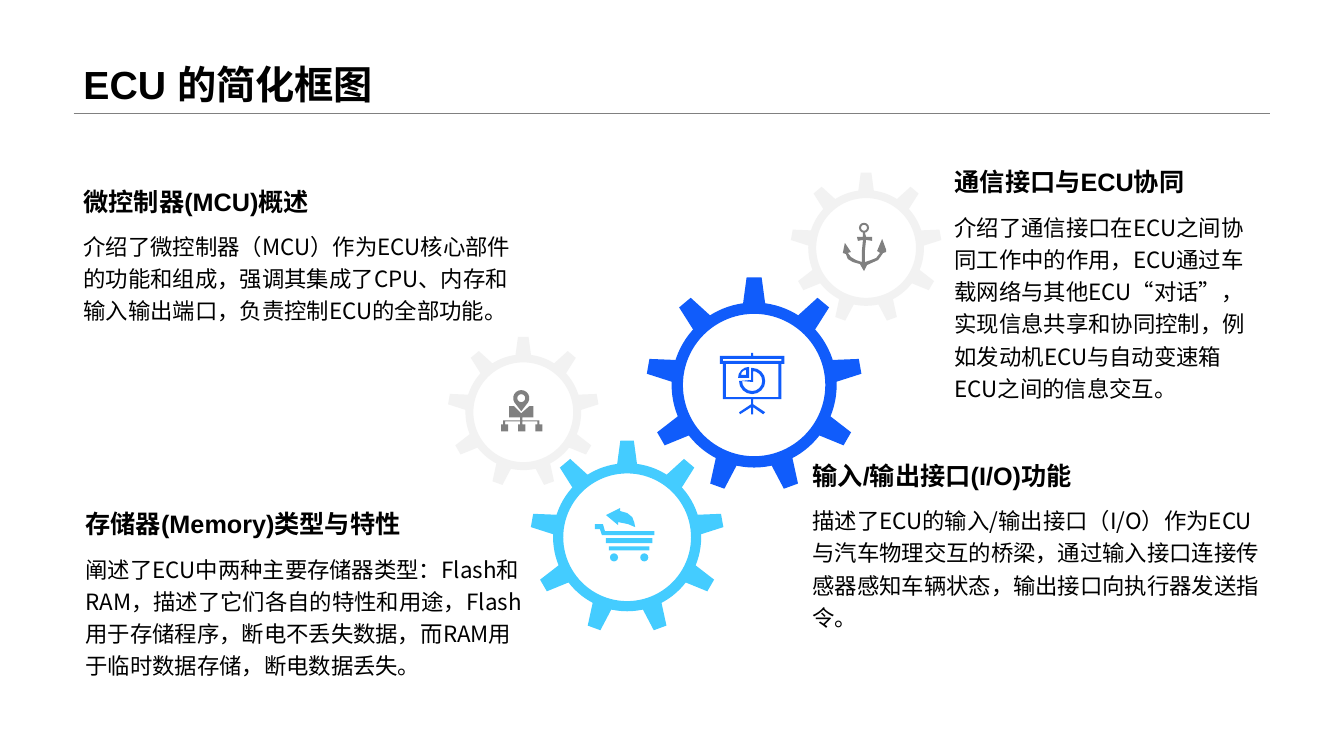
from dataclasses import dataclass
from math import cos, radians, sin

from lxml import etree
from pptx import Presentation
from pptx.dml.color import RGBColor
from pptx.enum.shapes import MSO_CONNECTOR, MSO_SHAPE
from pptx.enum.text import MSO_ANCHOR, MSO_AUTO_SIZE
from pptx.oxml.ns import qn
from pptx.util import Inches, Pt

STRAIGHT = MSO_CONNECTOR.STRAIGHT
DONUT = MSO_SHAPE.DONUT
TOP, BOTTOM = MSO_ANCHOR.TOP, MSO_ANCHOR.BOTTOM
FIT_SHAPE, NO_FIT = MSO_AUTO_SIZE.SHAPE_TO_FIT_TEXT, MSO_AUTO_SIZE.NONE


@dataclass(frozen=True)
class Theme:
    ink: str = "000000"
    blue: str = "105CFB"
    sky: str = "44CCFF"
    pale: str = "F2F2F2"
    grey: str = "808080"
    title_size: int = 28
    heading_size: int = 18
    body_size: int = 16
    latin: str = "Arial"
    chinese: str = "Noto Sans CJK SC"


THEME = Theme()
TEETH = 9

# left, top and width of the heading; top, width and height of the body
SECTIONS = [
    (9.37, 1.6, 3.23, 2.02, 3.23, 2.0, "通信接口与ECU协同",
     "介绍了通信接口在ECU之间协同工作中的作用，ECU通过车载网络与其他ECU“对话”，"
     "实现信息共享和协同控制，例如发动机ECU与自动变速箱ECU之间的信息交互。"),
    (7.96, 4.52, 4.63, 4.93, 4.63, 1.35, "输入/输出接口(I/O)功能",
     "描述了ECU的输入/输出接口（I/O）作为ECU与汽车物理交互的桥梁，"
     "通过输入接口连接传感器感知车辆状态，输出接口向执行器发送指令。"),
    (0.75, 4.99, 4.56, 5.41, 4.56, 1.35, "存储器(Memory)类型与特性",
     "阐述了ECU中两种主要存储器类型：Flash和RAM，描述了它们各自的特性和用途，"
     "Flash用于存储程序，断电不丢失数据，而RAM用于临时数据存储，断电数据丢失。"),
    (0.73, 1.8, 4.24, 2.21, 4.43, 1.03, "微控制器(MCU)概述",
     "介绍了微控制器（MCU）作为ECU核心部件的功能和组成，"
     "强调其集成了CPU、内存和输入输出端口，负责控制ECU的全部功能。"),
]


def add_text(page, text, left, top, width, height, *, size, font,
             bold=False, anchor=TOP, spacing=None, fit=FIT_SHAPE):
    box = page.shapes.add_textbox(Inches(left), Inches(top), Inches(width), Inches(height))
    frame = box.text_frame
    frame.word_wrap = True
    frame.auto_size = fit
    frame.vertical_anchor = anchor
    para = frame.paragraphs[0]
    if spacing:
        para.line_spacing = spacing
    span = para.add_run()
    span.text = text
    span.font.size = Pt(size)
    span.font.bold = bold
    span.font.name = font
    span.font.color.rgb = RGBColor.from_string(THEME.ink)
    east_asian = etree.SubElement(span.font._element, qn("a:ea"))
    east_asian.set("typeface", THEME.chinese)


def paint(shape, color):
    shape.shadow.inherit = False
    shape.fill.solid()
    shape.fill.fore_color.rgb = RGBColor.from_string(color)
    shape.line.fill.background()


def add_outline(page, contours, color):
    """Fill closed contours as one shape; a contour inside another is a hole."""
    scaled = [[(Inches(x), Inches(y)) for x, y in contour] for contour in contours]
    builder = page.shapes.build_freeform(*scaled[0][0])
    builder.add_line_segments(scaled[0][1:], close=True)
    for contour in scaled[1:]:
        builder.move_to(*contour[0])
        builder.add_line_segments(contour[1:], close=True)
    paint(builder.convert_to_shape(), color)


def polar(x, y, radius, angle):
    return x + radius * cos(radians(angle)), y + radius * sin(radians(angle))


def arc(x, y, radius, start=0, end=360, steps=12):
    """Points along an arc, with angles clockwise from the right."""
    return [polar(x, y, radius, start + (end - start) * i / steps) for i in range(steps + 1)]


def rect(left, top, right, bottom):
    return [(left, top), (right, top), (right, bottom), (left, bottom)]


def add_gear(page, x, y, radius, color):
    rim, hole, root = 0.765 * radius, 0.66 * radius, 0.75 * radius
    ring = page.shapes.add_shape(
        DONUT, Inches(x - rim), Inches(y - rim), Inches(2 * rim), Inches(2 * rim))
    ring.adjustments[0] = (rim - hole) / (2 * rim)
    paint(ring, color)
    teeth = []
    for tooth in range(TEETH):
        middle = tooth * 360 / TEETH - 90
        teeth.append([polar(x, y, root, middle - 8), polar(x, y, radius, middle - 4),
                      polar(x, y, radius, middle + 4), polar(x, y, root, middle + 8)])
    add_outline(page, teeth, color)


def add_board_icon(page, color):
    tripod = [(7.45, 3.96), (7.47, 3.96), (7.47, 4.01), (7.59, 4.09), (7.57, 4.11),
              (7.47, 4.04), (7.47, 4.11), (7.45, 4.11), (7.45, 4.04), (7.34, 4.11),
              (7.33, 4.09), (7.45, 4.01)]
    add_outline(page, [
        rect(7.45, 3.5, 7.47, 3.53),
        rect(7.14, 3.53, 7.78, 3.61), rect(7.17, 3.56, 7.75, 3.58),
        rect(7.17, 3.61, 7.75, 3.96), rect(7.2, 3.61, 7.72, 3.94),
        arc(7.46, 3.78, 0.13, -90, 180) + [(7.45, 3.77), (7.45, 3.65)],
        arc(7.46, 3.78, 0.1, -90, 180) + [(7.47, 3.79), (7.47, 3.68)],
        arc(7.43, 3.75, 0.11, 180, 270, 4) + [(7.43, 3.75)],
        arc(7.4, 3.72, 0.05, 180, 270, 3) + [(7.4, 3.72)],
        tripod,
    ], color)


def add_location_icon(page, color):
    envelope = [(5.05, 4.03), (5.1, 4.03), (5.17, 4.1), (5.25, 4.03), (5.29, 4.03),
                (5.29, 4.14), (5.05, 4.14)]
    contours = [
        arc(5.17, 3.95, 0.08, 150, 390) + [(5.17, 4.08)], arc(5.17, 3.95, 0.04),
        envelope, rect(5.16, 4.14, 5.18, 4.17), rect(4.99, 4.17, 5.35, 4.18),
    ]
    for branch in range(3):
        left = 4.97 + 0.17 * branch
        contours += [rect(left + 0.02, 4.18, left + 0.04, 4.21),
                     rect(left, 4.21, left + 0.07, 4.28)]
    add_outline(page, contours, color)


def add_cart_icon(page, color):
    basket = [(5.9, 5.2), (5.98, 5.2), (6, 5.27), (6.49, 5.27), (6.49, 5.31),
              (5.97, 5.31), (5.95, 5.25), (5.9, 5.25)]
    arrow = [(6.15, 5.04), (6.15, 5.07), (6.22, 5.09), (6.27, 5.13), (6.29, 5.18),
             (6.3, 5.23), (6.23, 5.2), (6.13, 5.18), (6.13, 5.21), (6.01, 5.11)]
    add_outline(page, [
        arc(6.39, 5.53, 0.04), arc(6.09, 5.53, 0.04),
        rect(6.04, 5.42, 6.44, 5.46), rect(6.01, 5.34, 6.47, 5.39), basket, arrow,
    ], color)


def add_anchor_icon(page, color):
    body = [(8.56, 2.31), (8.58, 2.31), (8.59, 2.35), (8.65, 2.35), (8.65, 2.39),
            (8.59, 2.38), (8.58, 2.48), (8.58, 2.6), (8.64, 2.58), (8.69, 2.56),
            (8.73, 2.51), (8.7, 2.49), (8.75, 2.37), (8.79, 2.48), (8.79, 2.5),
            (8.76, 2.51), (8.71, 2.58), (8.6, 2.63), (8.57, 2.69), (8.53, 2.62),
            (8.46, 2.6), (8.41, 2.57), (8.39, 2.52), (8.36, 2.51), (8.38, 2.41),
            (8.44, 2.5), (8.41, 2.51), (8.44, 2.55), (8.49, 2.58), (8.55, 2.6),
            (8.55, 2.48), (8.56, 2.38), (8.51, 2.39), (8.5, 2.35), (8.56, 2.35)]
    add_outline(page, [body, arc(8.57, 2.26, 0.05), arc(8.57, 2.26, 0.03)], color)


def add_title(page, text):
    rule = page.shapes.add_connector(
        STRAIGHT, Inches(0.73), Inches(1.12), Inches(12.6), Inches(1.12))
    rule.line.color.rgb = RGBColor.from_string(THEME.grey)
    rule.line.width = Pt(0.25)
    etree.SubElement(rule._element.spPr, qn("a:effectLst"))
    add_text(page, text, 0.73, 0, 11.87, 1.12, size=THEME.title_size, font=THEME.latin,
             bold=True, anchor=BOTTOM, spacing=0.9, fit=NO_FIT)


def add_section(page, left, top, width, body_top, body_width, body_height, heading, body):
    add_text(page, body, left, body_top, body_width, body_height,
             size=THEME.body_size, font=THEME.chinese, spacing=1.2)
    add_text(page, heading, left, top, width, 0.4, size=THEME.heading_size,
             font=THEME.latin, bold=True, anchor=BOTTOM)


def main():
    deck = Presentation()
    deck.slide_width, deck.slide_height = Inches(13.33), Inches(7.5)
    page = deck.slides.add_slide(deck.slide_layouts[6])
    add_title(page, "ECU 的简化框图")
    add_gear(page, 7.48, 3.82, 1.07, THEME.blue)
    add_board_icon(page, THEME.blue)
    add_gear(page, 5.19, 4.09, 0.75, THEME.pale)
    add_location_icon(page, THEME.grey)
    add_gear(page, 6.22, 5.33, 0.96, THEME.sky)
    add_cart_icon(page, THEME.sky)
    add_gear(page, 8.59, 2.46, 0.75, THEME.pale)
    add_anchor_icon(page, THEME.grey)
    for section in SECTIONS:
        add_section(page, *section)
    deck.save("out.pptx")


if __name__ == "__main__":
    main()
